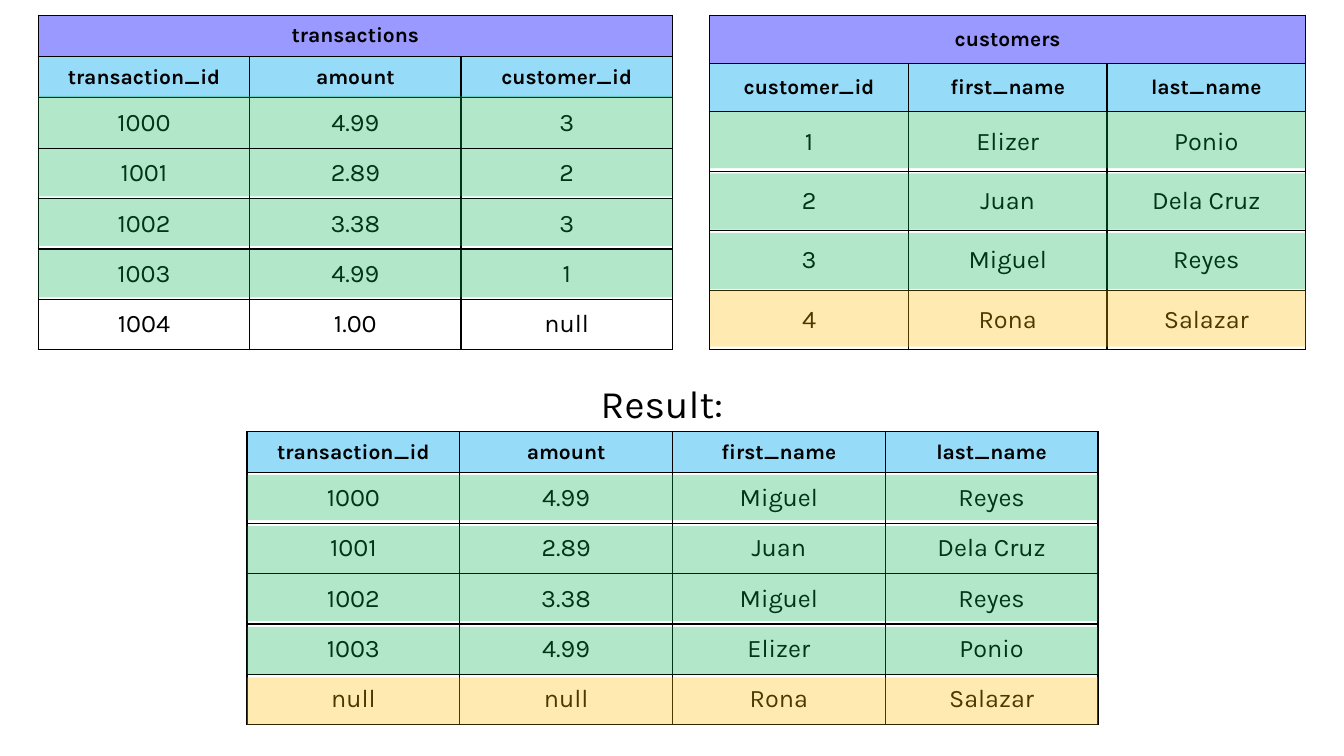
from lxml import etree
from pptx import Presentation
from pptx.dml.color import RGBColor
from pptx.enum.shapes import MSO_SHAPE
from pptx.enum.text import MSO_ANCHOR, PP_ALIGN
from pptx.oxml.ns import qn
from pptx.util import Inches, Pt

RECTANGLE = MSO_SHAPE.RECTANGLE
MIDDLE = MSO_ANCHOR.MIDDLE
CENTER = PP_ALIGN.CENTER

BLACK = RGBColor(0x00, 0x00, 0x00)
VIOLET = RGBColor(0x99, 0x99, 0xFF)
SKY = RGBColor(0x96, 0xDC, 0xF8)
GREEN = RGBColor(0x00, 0xB0, 0x50)
AMBER = RGBColor(0xFF, 0xC0, 0x00)

HEADER_FONT = {"name": "Karla", "size": Pt(15), "bold": True}
BODY_FONT = {"name": "Karla", "size": Pt(18), "bold": False}
RESULT_FONT = {"name": "Karla", "size": Pt(27.8), "bold": False}

TABLES = [
    {
        "title": "transactions",
        "header": ["transaction_id", "amount", "customer_id"],
        "rows": [
            ["1000", "4.99", "3"],
            ["1001", "2.89", "2"],
            ["1002", "3.38", "3"],
            ["1003", "4.99", "1"],
            ["1004", "1.00", "null"],
        ],
        "place": (0.38, 0.15, 6.29),
        "heights": (0.41, 0.5),
        "bands": [(0.95, 0.52, GREEN), (1.48, 0.47, GREEN),
                  (1.97, 0.47, GREEN), (2.48, 0.47, GREEN)],
    },
    {
        "title": "customers",
        "header": ["customer_id", "first_name", "last_name"],
        "rows": [
            ["1", "Elizer", "Ponio"],
            ["2", "Juan", "Dela Cruz"],
            ["3", "Miguel", "Reyes"],
            ["4", "Rona", "Salazar"],
        ],
        "place": (7.04, 0.15, 5.91),
        "heights": (0.48, 0.59),
        "bands": [(1.11, 0.56, GREEN), (1.72, 0.56, GREEN),
                  (2.31, 0.56, GREEN), (2.88, 0.56, AMBER)],
    },
    {
        "title": None,
        "header": ["transaction_id", "amount", "first_name", "last_name"],
        "rows": [
            ["1000", "4.99", "Miguel", "Reyes"],
            ["1001", "2.89", "Juan", "Dela Cruz"],
            ["1002", "3.38", "Miguel", "Reyes"],
            ["1003", "4.99", "Elizer", "Ponio"],
            ["null", "null", "Rona", "Salazar"],
        ],
        "place": (2.45, 4.28, 8.44),
        "heights": (0.41, 0.5),
        "bands": [(4.71, 0.45, GREEN), (5.22, 0.47, GREEN), (5.69, 0.47, GREEN),
                  (6.22, 0.47, GREEN), (6.72, 0.47, AMBER)],
    },
]


def write(para, text, font):
    span = para.add_run()
    span.text = text
    for key, value in font.items():
        setattr(span.font, key, value)
    span.font.color.rgb = BLACK


def add_alpha(parent, percent):
    color = parent.find(".//" + qn("a:srgbClr"))
    etree.SubElement(color, qn("a:alpha"), val=str(percent * 1000))


def add_borders(cell):
    properties = cell._tc.get_or_add_tcPr()
    for side in ("lnL", "lnR", "lnT", "lnB"):
        line = etree.SubElement(properties, qn("a:" + side), w=str(Pt(1)))
        fill = etree.SubElement(line, qn("a:solidFill"))
        etree.SubElement(fill, qn("a:srgbClr"), val=str(BLACK))


def style_cell(cell, text, font, color):
    add_borders(cell)
    cell.vertical_anchor = MIDDLE
    if color is None:
        cell.fill.background()
    else:
        cell.fill.solid()
        cell.fill.fore_color.rgb = color
    para = cell.text_frame.paragraphs[0]
    para.alignment = CENTER
    if text:
        write(para, text, font)


def draw_table(page, data):
    left, top, width = data["place"]
    head_height, body_height = data["heights"]
    columns = len(data["header"])
    lines = [(data["header"], HEADER_FONT, SKY, head_height)]
    if data["title"]:
        title = [data["title"]] + [""] * (columns - 1)
        lines.insert(0, (title, HEADER_FONT, VIOLET, head_height))
    lines += [(row, BODY_FONT, None, body_height) for row in data["rows"]]
    height = sum(line[3] for line in lines)
    table = page.shapes.add_table(len(lines), columns, Inches(left), Inches(top),
                                  Inches(width), Inches(height)).table
    for column in table.columns:
        column.width = Inches(width / columns)
    for r, (texts, font, color, row_height) in enumerate(lines):
        table.rows[r].height = Inches(row_height)
        for c, text in enumerate(texts):
            style_cell(table.cell(r, c), text, font, color)
    if data["title"]:
        table.cell(0, 0).merge(table.cell(0, columns - 1))


def draw_bands(page, data):
    left, _, width = data["place"]
    for top, height, color in data["bands"]:
        band = page.shapes.add_shape(RECTANGLE, Inches(left), Inches(top),
                                     Inches(width), Inches(height))
        band.shadow.inherit = False
        band.fill.solid()
        band.fill.fore_color.rgb = color
        add_alpha(band._element.spPr, 30)
        band.line.fill.background()


def draw_result_label(page):
    box = page.shapes.add_textbox(Inches(5.86), Inches(3.77), Inches(1.45), Inches(0.53))
    box.text_frame.word_wrap = True
    para = box.text_frame.paragraphs[0]
    para.line_spacing = 0.9
    para.space_before = Pt(10)
    write(para, "Result:", RESULT_FONT)


def main():
    deck = Presentation()
    deck.slide_width = Inches(13.33)
    deck.slide_height = Inches(7.5)
    page = deck.slides.add_slide(deck.slide_layouts[6])
    for draw in (draw_table, draw_bands):
        for data in TABLES:
            draw(page, data)
    draw_result_label(page)
    deck.save("out.pptx")


if __name__ == "__main__":
    main()
